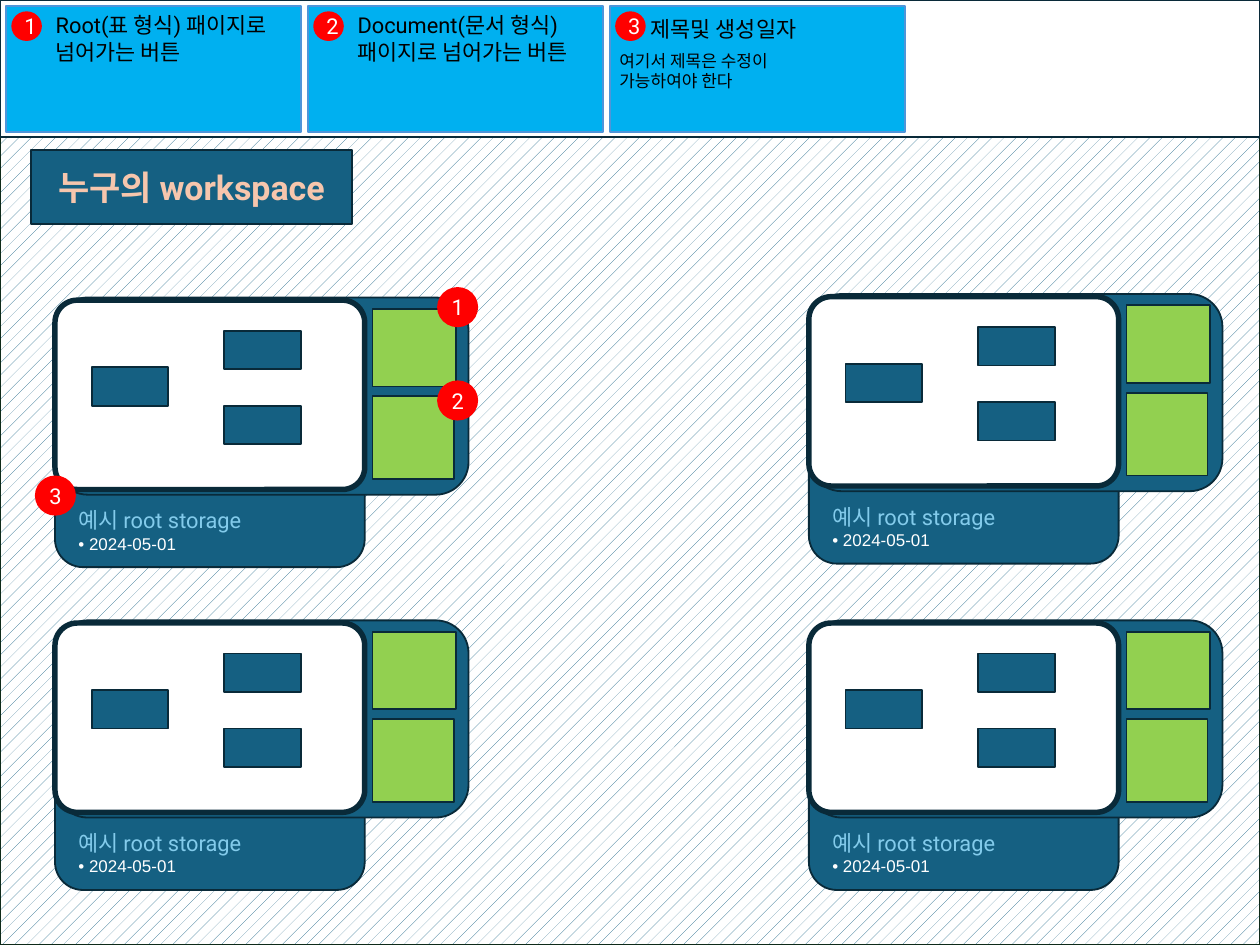
from dataclasses import dataclass

from pptx import Presentation
from pptx.dml.color import RGBColor
from pptx.enum.dml import MSO_PATTERN
from pptx.enum.shapes import MSO_SHAPE
from pptx.enum.text import MSO_ANCHOR, MSO_AUTO_SIZE, PP_ALIGN
from pptx.util import Inches, Pt


@dataclass(frozen=True)
class Theme:
    navy: str = "156082"
    outline: str = "092A39"
    canvas_outline: str = "0E2A19"
    white: str = "FFFFFF"
    black: str = "000000"
    green: str = "92D050"
    red: str = "FF0000"
    note: str = "00B0F0"
    note_outline: str = "4E95D9"
    peach: str = "F6C6AD"
    sky: str = "83CBEB"
    title_size: int = 28
    body_size: int = 18
    small_size: int = 14
    font: str = "Roboto"
    card_font: str = "Arial"


theme = Theme()
WIDTH, HEIGHT = 14.44, 10.83
HEADER_HEIGHT = 1.57
CANVAS_TOP = 1.38
NOTE_LEFT, NOTE_TOP, NOTE_PITCH = 0.07, 0.07, 3.46
CARD_LEFT, CARD_TOP = 0.63, 3.41
COLUMN_PITCH, ROW_PITCH = 8.64, 3.7

presentation = Presentation()
presentation.slide_width = Inches(WIDTH)
presentation.slide_height = Inches(HEIGHT)
slide = presentation.slides.add_slide(presentation.slide_layouts[5])


def add_box(kind, left, top, width, height, fill, line=None, weight=1.5):
    shape = slide.shapes.add_shape(
        kind, Inches(left), Inches(top), Inches(width), Inches(height))
    shape.shadow.inherit = False
    shape.fill.solid()
    shape.fill.fore_color.rgb = RGBColor.from_string(fill)
    if line:
        shape.line.color.rgb = RGBColor.from_string(line)
        shape.line.width = Pt(weight)
    else:
        shape.line.fill.background()
    return shape


def write(shape, text, size, color, font=theme.font, align=PP_ALIGN.LEFT):
    frame = shape.text_frame
    frame.word_wrap = True
    frame.text = text
    for paragraph in frame.paragraphs:
        paragraph.alignment = align
        for run in paragraph.runs:
            run.font.size = Pt(size)
            run.font.name = font
            run.font.color.rgb = RGBColor.from_string(color)
    return frame


# Hatched canvas, title and header strip
canvas = add_box(MSO_SHAPE.RECTANGLE, 0, CANVAS_TOP, WIDTH, HEIGHT - CANVAS_TOP,
                 theme.white, theme.canvas_outline, 2.25)
canvas.fill.patterned()
canvas.fill.pattern = MSO_PATTERN.PERCENT_5
canvas.fill.fore_color.rgb = RGBColor.from_string(theme.navy)
canvas.fill.back_color.rgb = RGBColor.from_string(theme.white)

title = slide.shapes.title
title.left, title.top = Inches(0.36), Inches(1.72)
title.width, title.height = Inches(3.67), Inches(0.85)
title.fill.solid()
title.fill.fore_color.rgb = RGBColor.from_string(theme.navy)
title.line.color.rgb = RGBColor.from_string(theme.outline)
title.line.width = Pt(1.5)
title_frame = write(title, "누구의 workspace", theme.title_size, theme.peach,
                    align=PP_ALIGN.CENTER)
title_frame.paragraphs[0].runs[0].font.bold = True
title_frame.vertical_anchor = MSO_ANCHOR.MIDDLE
title_frame.auto_size = MSO_AUTO_SIZE.NONE
canvas.element.addnext(title.element)

add_box(MSO_SHAPE.RECTANGLE, 0, 0, WIDTH, HEADER_HEIGHT,
        theme.white, theme.outline, 2.25)

# Storage cards: column, row and a small vertical shift of the top-right card
for column, row, shift in [(0, 0, 0), (0, 1, 0), (1, 1, 0), (1, 0, -0.04)]:
    left = CARD_LEFT + column * COLUMN_PITCH
    top = CARD_TOP + row * ROW_PITCH + shift
    add_box(MSO_SHAPE.ROUNDED_RECTANGLE, left, top + 1.16, 3.55, 1.93,
            theme.navy, theme.outline)
    add_box(MSO_SHAPE.ROUNDED_RECTANGLE, left, top, 4.74, 2.26,
            theme.navy, theme.outline)
    preview = add_box(MSO_SHAPE.ROUNDED_RECTANGLE, left, top + 0.03, 3.55, 2.17,
                      theme.white, theme.outline, 4.5)
    preview.adjustments[0] = 0.118
    for across, down in [(0.42, 0.8), (1.94, 1.24), (1.94, 0.38)]:
        add_box(MSO_SHAPE.RECTANGLE, left + across, top + down, 0.88, 0.44,
                theme.navy, theme.outline)
    for down, width, height in [(0.13, 0.96, 0.89), (1.13, 0.93, 0.95)]:
        add_box(MSO_SHAPE.RECTANGLE, left + 3.64, top + down, width, height,
                theme.green, theme.outline)
    caption = slide.shapes.add_textbox(
        Inches(left + 0.17), Inches(top + 2.35), Inches(3.39), Inches(0.64))
    frame = write(caption, "예시 \n• 2024-05-01", theme.small_size, theme.white,
                  theme.card_font)
    name = frame.paragraphs[0]
    name.add_run().text = "root storage"
    for run, font in zip(name.runs, (theme.card_font, theme.font)):
        run.font.name = font
        run.font.size = Pt(theme.body_size)
        run.font.color.rgb = RGBColor.from_string(theme.sky)

# Notes in the header
for index in range(3):
    add_box(MSO_SHAPE.RECTANGLE, NOTE_LEFT + index * NOTE_PITCH, NOTE_TOP,
            3.38, 1.44, theme.note, theme.note_outline)

# Numbered badges: on the first card, then on each note
badges = [(1, 5.01, 3.29, 0.47, 0.46), (2, 5.01, 4.36, 0.47, 0.46),
          (3, 0.4, 5.45, 0.47, 0.46)]
badges += [(index + 1, NOTE_LEFT + index * NOTE_PITCH + 0.06, NOTE_TOP + 0.06,
            0.35, 0.34) for index in range(3)]
for number, *place in badges:
    badge = add_box(MSO_SHAPE.OVAL, *place, theme.red)
    write(badge, str(number), theme.body_size, theme.white, align=PP_ALIGN.CENTER)

for text, left, top, width, height, size in [
    ("Root(표 형식) 패이지로\n넘어가는 버튼", 0.54, 0.09, 2.7, 0.94, theme.body_size),
    ("Document(문서 형식)\n패이지로 넘어가는 버튼", 4, 0.09, 2.83, 0.94, theme.body_size),
    ("제목및 생성일자", 7.36, 0.13, 2.02, 0.4, theme.body_size),
    ("여기서 제목은 수정이\n가능하여야 한다", 7, 0.53, 2.09, 0.57, theme.small_size),
]:
    note = slide.shapes.add_textbox(
        Inches(left), Inches(top), Inches(width), Inches(height))
    write(note, text, size, theme.black)

presentation.save("out.pptx")
